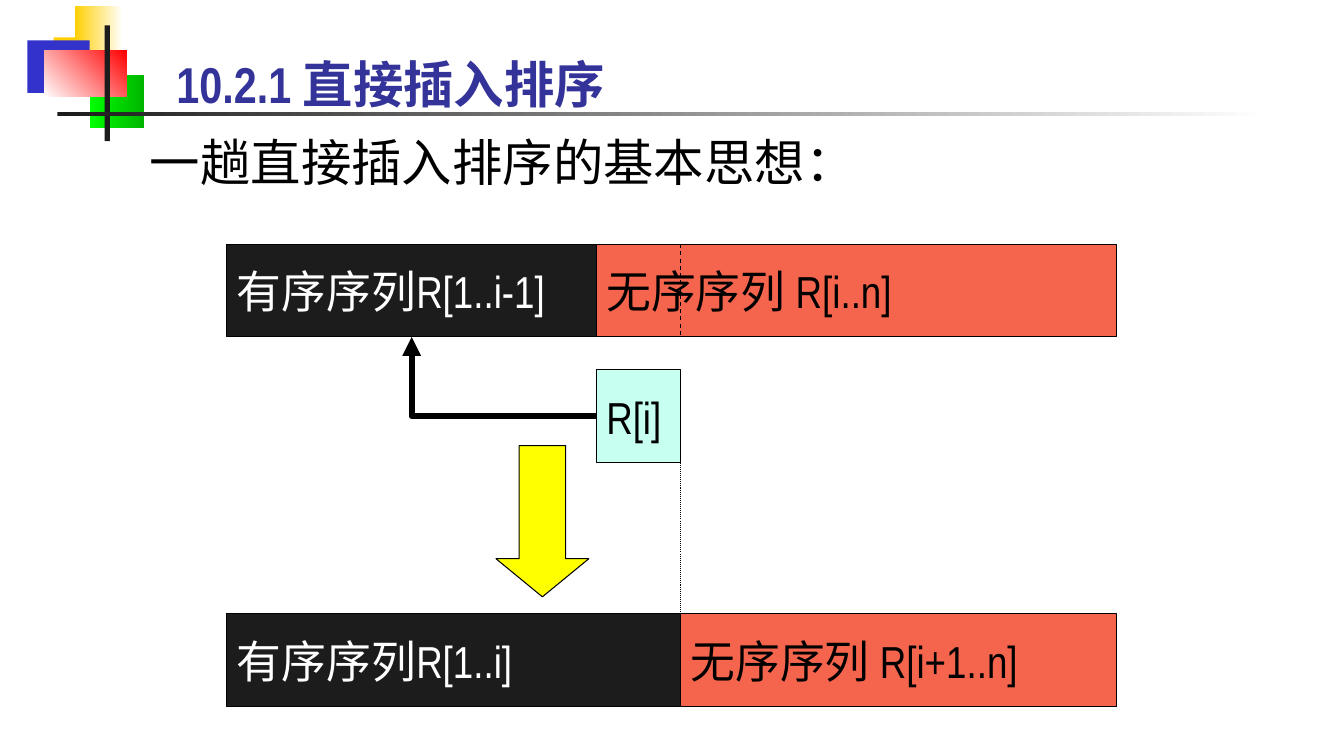
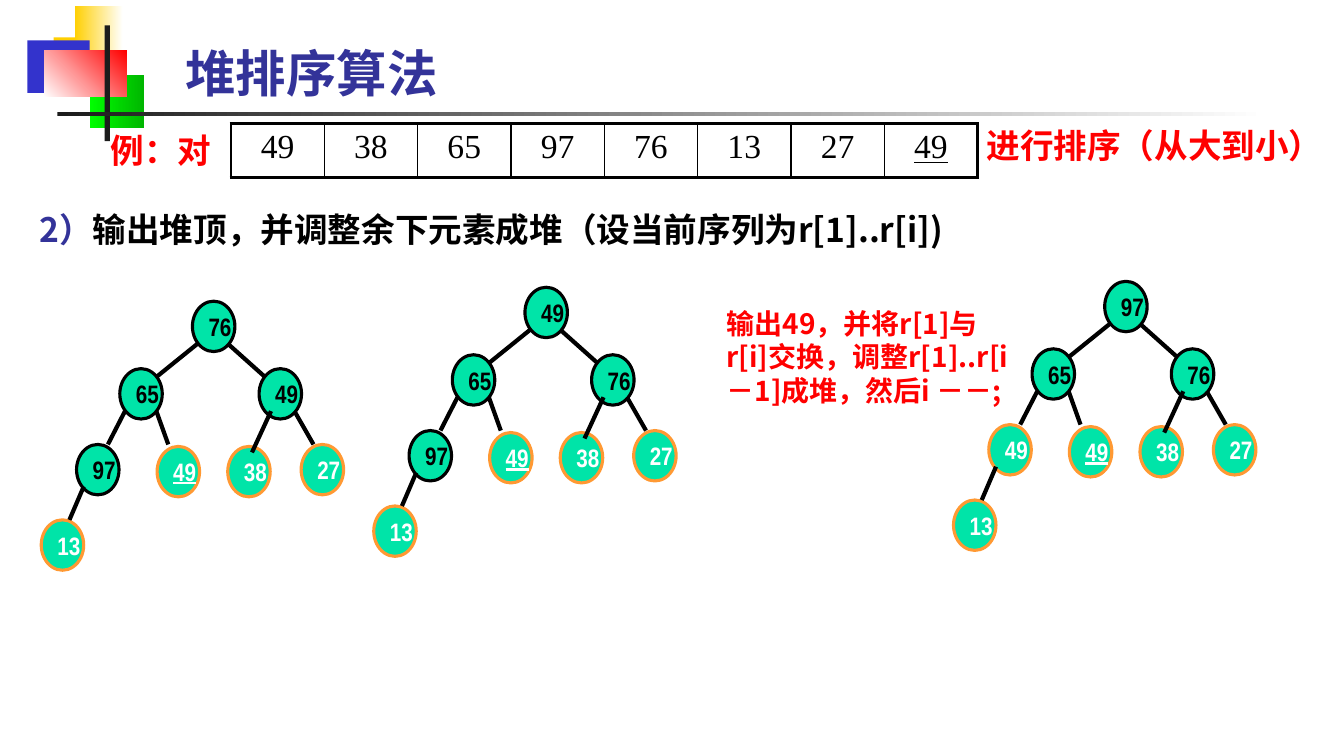
import pptx
import pptx.dml.color
import pptx.enum.dml
import pptx.enum.shapes
import pptx.enum.text
import pptx.oxml
import pptx.oxml.ns
import pptx.util
from lxml import etree

Cm, Pt = pptx.util.Cm, pptx.util.Pt
RGB = pptx.dml.color.RGBColor.from_string
SHAPE = pptx.enum.shapes.MSO_SHAPE
LINE = pptx.enum.shapes.MSO_CONNECTOR
DASH = pptx.enum.dml.MSO_LINE
ALIGN = pptx.enum.text.PP_ALIGN
ANCHOR = pptx.enum.text.MSO_ANCHOR
AUTO = pptx.enum.text.MSO_AUTO_SIZE
qn = pptx.oxml.ns.qn


class Theme:
    black, white, ink = "000000", "FFFFFF", "1C1C1C"
    title, red = "333399", "FF0000"
    gold, blue, lime, green = "FFCF01", "3333CC", "00FF00", "00B600"
    coral, mint, yellow = "F5644C", "C7FFF0", "FFFF00"
    node, output = "00E4A8", "FF9933"
    narrow, cjk, serif = "Arial Narrow", "Noto Sans CJK SC", "Times New Roman"
    title_size, bar_size, body_size, note_size, node_size = 36, 32, 24, 20, 18


def add_run(p, text, size, color, font=Theme.narrow, bold=False, underline=None):
    r = p.add_run()
    r.text = text
    r.font.size, r.font.bold, r.font.underline = Pt(size), bold, underline
    r.font.color.rgb = RGB(color)
    r.font.name = font
    etree.SubElement(r._r.get_or_add_rPr(), qn("a:ea"), typeface=Theme.cjk)


def paint(sp, line, width, fill=None, dash=None):
    """Set outline and fill of a shape or connector, without a shadow."""
    if fill:
        sp.fill.solid()
        sp.fill.fore_color.rgb = RGB(fill)
    sp.line.color.rgb = RGB(line)
    sp.line.width = Pt(width)
    if dash:
        sp.line.dash_style = dash
    etree.SubElement(sp.element.spPr, qn("a:effectLst"))


prs = pptx.Presentation()
prs.slide_width, prs.slide_height = Cm(33.87), Cm(19.05)
layout = prs.slide_layouts[5]

# Slides and titles
titles = [
    ("10.2.1 直接插入排序", (4.19, 1.22, 20.62, 2.11)),
    ("堆排序算法", (4.42, 0.94, 12.45, 1.8)),
]
for text, box in titles:
    title = prs.slides.add_slide(layout).shapes.title
    title.left, title.top, title.width, title.height = map(Cm, box)
    tf = title.text_frame
    tf.auto_size, tf.word_wrap = AUTO.NONE, True
    tf.vertical_anchor = ANCHOR.TOP
    p = tf.paragraphs[0]
    p.alignment = ALIGN.LEFT
    add_run(p, text, Theme.title_size, Theme.title, bold=True)
insertion, heap = prs.slides

# Corner ornament and title rule, moved to the shared layout
ornament = [
    ((1.35, 0.94, 1.63, 1.32), [Theme.gold], 0),
    ((1.88, 0.15, 1.22, 1.32), [Theme.gold, Theme.white], 0),
    ((0.69, 1.02, 1.57, 1.32), [Theme.blue], 0),
    ((2.26, 1.9, 1.37, 1.32), [Theme.lime, Theme.green], 0),
    ((1.12, 1.27, 2.08, 1.17), [Theme.white, Theme.red], 45),
    ((2.64, 0.64, 0.13, 2.92), [Theme.ink], 0),
    ((1.45, 2.82, 30.48, 0.1), [Theme.ink, Theme.white], 0),
]
for i, (box, colors, angle) in enumerate(ornament):
    sp = insertion.shapes.add_shape(SHAPE.RECTANGLE, *map(Cm, box))
    sp.shadow.inherit = False
    sp.line.fill.background()
    if len(colors) == 1:
        sp.fill.solid()
        sp.fill.fore_color.rgb = RGB(colors[0])
    else:
        sp.fill.gradient()
        sp.fill.gradient_angle = angle
        for stop, color in zip(sp.fill.gradient_stops, colors):
            stop.color.rgb = RGB(color)
    sp.element.nvSpPr.cNvPr.set("id", str(20 + i))
    layout.shapes.element.insert(2 + i, sp.element)

# Text boxes: slide, box, wrap, size, font, bold, runs
texts = [
    (insertion, (3.53, 3.18, 18.47, 1.8), False, Theme.title_size, Theme.cjk, False,
     [("一趟直接插入排序的基本思想：", Theme.black)]),
    (heap, (0.74, 5.13, 24.33, 1.27), True, Theme.body_size, Theme.cjk, True,
     [("2）", Theme.title),
      ("输出堆顶，并调整余下元素成堆（设当前序列为r[1]..r[i])", Theme.black)]),
    (heap, (2.54, 3.15, 4.29, 1.27), True, Theme.body_size, Theme.narrow, True,
     [("例：对", Theme.red)]),
    (heap, (24.61, 3.02, 9.14, 1.27), True, Theme.body_size, Theme.narrow, True,
     [("进行排序（从大到小）", Theme.red)]),
    (heap, (18.06, 7.59, 7.7, 3.68), True, Theme.note_size, Theme.cjk, True,
     [("输出49，并将r[1]与r[i]交换，调整r[1]..r[i－1]成堆，然后i －－;", Theme.red)]),
]
for s, box, wrap, size, font, bold, runs in texts:
    tf = s.shapes.add_textbox(*map(Cm, box)).text_frame
    tf.word_wrap = wrap
    for text, color in runs:
        add_run(tf.paragraphs[0], text, size, color, font, bold)

# Slide 1: sequences before and after one insertion
left, split, next_split, right = 5.72, 15.03, 17.15, 28.15
before, taken, after, bar_height = 6.15, 9.32, 15.47, 2.34
bars = [
    (left, split, before, Theme.ink, Theme.white, "有序序列R[1..i-1]"),
    (split, next_split, taken, Theme.mint, Theme.black, "R[i]"),
    (split, right, before, Theme.coral, Theme.black, "无序序列 R[i..n]"),
    (left, next_split, after, Theme.ink, Theme.white, "有序序列R[1..i]"),
    (next_split, right, after, Theme.coral, Theme.black, "无序序列 R[i+1..n]"),
]
for x1, x2, y, fill, color, text in bars:
    sp = insertion.shapes.add_shape(
        SHAPE.RECTANGLE, Cm(x1), Cm(y), Cm(x2 - x1), Cm(bar_height))
    paint(sp, Theme.black, 0.75, fill)
    tf = sp.text_frame
    tf.word_wrap = False
    p = tf.paragraphs[0]
    p.alignment = ALIGN.LEFT
    add_run(p, text, Theme.bar_size, color)

arrow = insertion.shapes.add_shape(SHAPE.DOWN_ARROW, Cm(12.5), Cm(11.23), Cm(2.34), Cm(3.81))
arrow.adjustments[0], arrow.adjustments[1] = 0.5, 0.41
paint(arrow, Theme.black, 0.75, Theme.yellow)

before_end, taken_end = before + bar_height, taken + bar_height
for y1, y2, dash in [(before, before_end, DASH.DASH), (taken_end, after, DASH.ROUND_DOT)]:
    guide = insertion.shapes.add_connector(
        LINE.STRAIGHT, Cm(next_split), Cm(y1), Cm(next_split), Cm(y2))
    paint(guide, Theme.black, 0.75, dash=dash)

# A half turn makes the two-leg elbow run left from R[i], then up
elbow = insertion.shapes.add_connector(
    LINE.ELBOW, Cm((left + split) / 2), Cm(before_end), Cm(split), Cm(taken + bar_height / 2))
paint(elbow, Theme.black, 4.5)
spPr = elbow.element.spPr
spPr.find(qn("a:xfrm")).set("rot", "10800000")
spPr.find(qn("a:prstGeom")).set("prst", "bentConnector2")
etree.SubElement(spPr.find(qn("a:ln")), qn("a:tailEnd"), type="triangle")

# Slide 2: the values to sort
values = ["49", "38", "65", "97", "76", "13", "27", "49"]
last = len(values) - 1
table = heap.shapes.add_table(
    1, len(values), Cm(5.82), Cm(3.12), Cm(18.82), Cm(1.35)).table
table.first_row = table.horz_banding = False
for i, value in enumerate(values):
    cell = table.cell(0, i)
    p = cell.text_frame.paragraphs[0]
    p.alignment = ALIGN.CENTER
    add_run(p, value, Theme.body_size, Theme.black, Theme.serif,
            underline=True if i == last else None)
    tcPr = cell._tc.get_or_add_tcPr()
    widths = {"lnL": 2.25 if i == 0 else 1, "lnR": 2.25 if i == last else 1,
              "lnT": 2.25, "lnB": 2.25}
    for side, width in widths.items():
        ln = etree.SubElement(tcPr, qn("a:" + side), w=str(Pt(width)))
        solid = etree.SubElement(ln, qn("a:solidFill"))
        etree.SubElement(solid, qn("a:srgbClr"), val=Theme.black)
    cell.fill.background()

# Slide 2: heaps, with places relative to each tree's corner
node_places = [(3.81, 0), (1.98, 1.7), (5.49, 1.7), (0.89, 3.61),
               (2.92, 3.66), (4.7, 3.66), (6.55, 3.61), (0, 5.51)]
edges = [(3.94, 1.07, 2.9, 1.91), (4.7, 1.07, 5.64, 1.91),
         (2.11, 2.77, 1.68, 3.61), (2.9, 2.77, 3.2, 3.61),
         (5.79, 2.77, 5.31, 3.81), (6.38, 2.77, 6.86, 3.61),
         (1.07, 4.67, 0.71, 5.51)]
underlined = 4
# Left, top, keys in level order, index of the first key already output
trees = [
    (1.04, 7.59, [76, 65, 49, 97, 49, 38, 27, 13], 4),
    (9.42, 7.24, [49, 65, 76, 97, 49, 38, 27, 13], 4),
    (24.03, 7.09, [97, 65, 76, 49, 49, 38, 27, 13], 3),
]
for x, y, keys, first_output in trees:
    shapes = heap.shapes.add_group_shape().shapes
    for i, (key, (dx, dy)) in enumerate(zip(keys, node_places)):
        line, color = ((Theme.output, Theme.white) if i >= first_output
                       else (Theme.black, Theme.black))
        sp = shapes.add_shape(SHAPE.OVAL, Cm(x + dx), Cm(y + dy), Cm(1.07), Cm(1.27))
        paint(sp, line, 2.25, Theme.node)
        tf = sp.text_frame
        tf.word_wrap = False
        p = tf.paragraphs[0]
        p.alignment = ALIGN.LEFT
        add_run(p, str(key), Theme.node_size, color, bold=True,
                underline=True if i == underlined else None)
    for x1, y1, x2, y2 in edges:
        edge = shapes.add_connector(
            LINE.STRAIGHT, Cm(x + x1), Cm(y + y1), Cm(x + x2), Cm(y + y2))
        paint(edge, Theme.black, 3)

prs.save("out.pptx")
